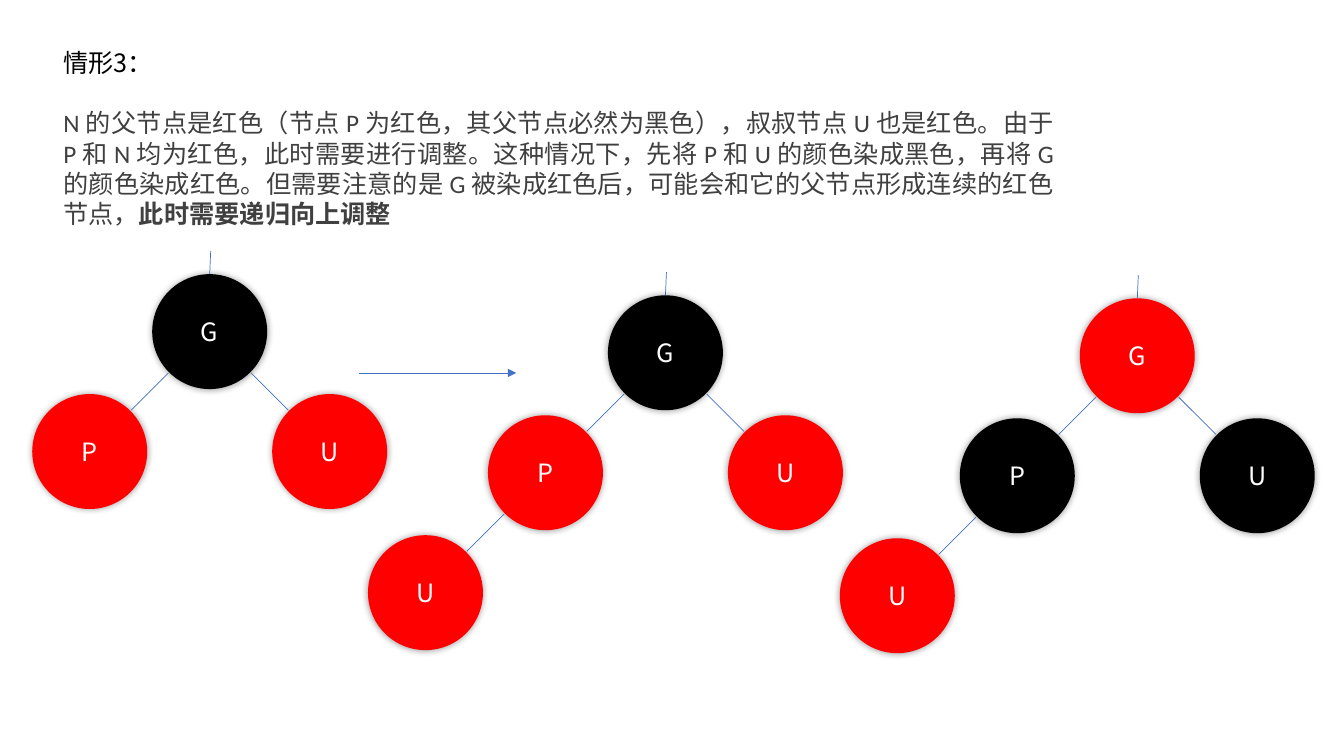
from lxml.etree import SubElement
from pptx import Presentation
from pptx.dml.color import RGBColor
from pptx.enum.shapes import MSO_CONNECTOR, MSO_SHAPE
from pptx.enum.text import MSO_ANCHOR, MSO_AUTO_SIZE, PP_ALIGN
from pptx.oxml.ns import qn
from pptx.util import Inches, Pt

CJK = "Noto Sans CJK SC"
BLACK, RED, WHITE, GREY, BLUE = "000000", "FF0000", "FFFFFF", "404040", "4472C4"
NODE = 1.14
EDGE_INSET = 0.16
STEP = 1.19
STEM = 0.23

BODY = (
    "N 的父节点是红色（节点 P 为红色，其父节点必然为黑色），叔叔节点 U 也是红色。"
    "由于 P 和 N 均为红色，此时需要进行调整。这种情况下，先将 P 和 U 的颜色染成黑色，"
    "再将 G 的颜色染成红色。但需要注意的是 G 被染成红色后，"
    "可能会和它的父节点形成连续的红色节点，"
)
BODY_STRONG = "此时需要递归向上调整"

ROOT = ("G", 0, 0, None)
PARENT = ("P", -1, 1, 0)
UNCLE = ("U", 1, 1, 0)
CHILD = ("U", -2, 2, 1)
FAMILY = [ROOT, PARENT, UNCLE]
TREES = [
    (1.51, 2.72, FAMILY, [BLACK, RED, RED]),
    (6.03, 2.93, FAMILY + [CHILD], [BLACK, RED, RED, RED]),
    (10.71, 2.96, FAMILY + [CHILD], [RED, BLACK, BLACK, RED]),
]


def color(value):
    return RGBColor.from_string(value)


def set_asian_font(run):
    SubElement(run.font._element, qn("a:ea"), typeface=CJK)


def format_text(shape, size, name, value, alignment):
    for paragraph in shape.text_frame.paragraphs:
        paragraph.alignment = alignment
        paragraph.font.size = Pt(size)
        paragraph.font.name = name
        paragraph.font.color.rgb = color(value)
        for run in paragraph.runs:
            set_asian_font(run)


def place(shape, left, top, width, height):
    shape.left, shape.top = Inches(left), Inches(top)
    shape.width, shape.height = Inches(width), Inches(height)


def add_line(slide, start, end, arrow=False):
    connector = slide.shapes.add_connector(
        MSO_CONNECTOR.STRAIGHT, *[Inches(value) for value in start + end])
    connector.line.color.rgb = color(BLUE)
    connector.line.width = Pt(0.5)
    if arrow:
        SubElement(connector.line._get_or_add_ln(), qn("a:tailEnd"), type="triangle")
    SubElement(connector._element.spPr, qn("a:effectLst"))


def add_glow(shape):
    shape.shadow.inherit = False
    effects = shape._element.spPr.find(qn("a:effectLst"))
    shadow = SubElement(effects, qn("a:outerShdw"), blurRad=str(Pt(5)),
                        dist="0", dir="0", algn="ctr", rotWithShape="0")
    tint = SubElement(shadow, qn("a:srgbClr"), val=BLACK)
    SubElement(tint, qn("a:alpha"), val="40000")


def add_node(slide, letter, left, top, fill):
    node = slide.shapes.add_shape(
        MSO_SHAPE.OVAL, Inches(left), Inches(top), Inches(NODE), Inches(NODE))
    node.fill.solid()
    node.fill.fore_color.rgb = color(fill)
    node.line.fill.background()
    add_glow(node)
    node.text_frame.text = letter
    node.text_frame.vertical_anchor = MSO_ANCHOR.MIDDLE
    format_text(node, 18, CJK, WHITE, PP_ALIGN.CENTER)


def add_edge(slide, parent, child):
    near, far = EDGE_INSET, NODE - EDGE_INSET
    is_left = child[0] < parent[0]
    start_x, end_x = (near, far) if is_left else (far, near)
    add_line(slide, (parent[0] + start_x, parent[1] + far),
             (child[0] + end_x, child[1] + near))


def add_tree(slide, left, top, nodes, fills):
    corners = [(left + column * STEP, top + row * STEP) for _, column, row, _ in nodes]
    center = left + NODE / 2
    add_line(slide, (center, top), (center + 0.01, top - STEM))
    for (letter, _, _, parent), corner, fill in zip(nodes, corners, fills):
        add_node(slide, letter, *corner, fill)
        if parent is not None:
            add_edge(slide, corners[parent], corner)


def add_heading(slide, left, top, width, height):
    title = slide.shapes.title
    place(title, left, top, width, height)
    frame = title.text_frame
    frame.text = "情形3："
    frame.auto_size = MSO_AUTO_SIZE.NONE
    frame.vertical_anchor = MSO_ANCHOR.TOP
    format_text(title, 18, CJK, BLACK, PP_ALIGN.LEFT)


def add_explanation(slide, left, top, width, height):
    box = slide.shapes.add_textbox(0, 0, 0, 0)
    place(box, left, top, width, height)
    frame = box.text_frame
    frame.word_wrap = True
    paragraph = frame.paragraphs[0]
    paragraph.add_run().text = BODY
    strong = paragraph.add_run()
    strong.text = BODY_STRONG
    strong.font.bold = True
    format_text(box, 18, "Calibri", GREY, PP_ALIGN.JUSTIFY)


def main():
    presentation = Presentation()
    presentation.slide_width, presentation.slide_height = Inches(13.33), Inches(7.5)
    slide = presentation.slides.add_slide(presentation.slide_layouts[5])
    add_heading(slide, 0.53, 0.42, 10.02, 0.4)
    add_explanation(slide, 0.53, 1.02, 10.02, 1.32)
    for tree in TREES:
        add_tree(slide, *tree)
    add_line(slide, (3.56, 3.7), (5.12, 3.7), arrow=True)
    presentation.save("out.pptx")


if __name__ == "__main__":
    main()
